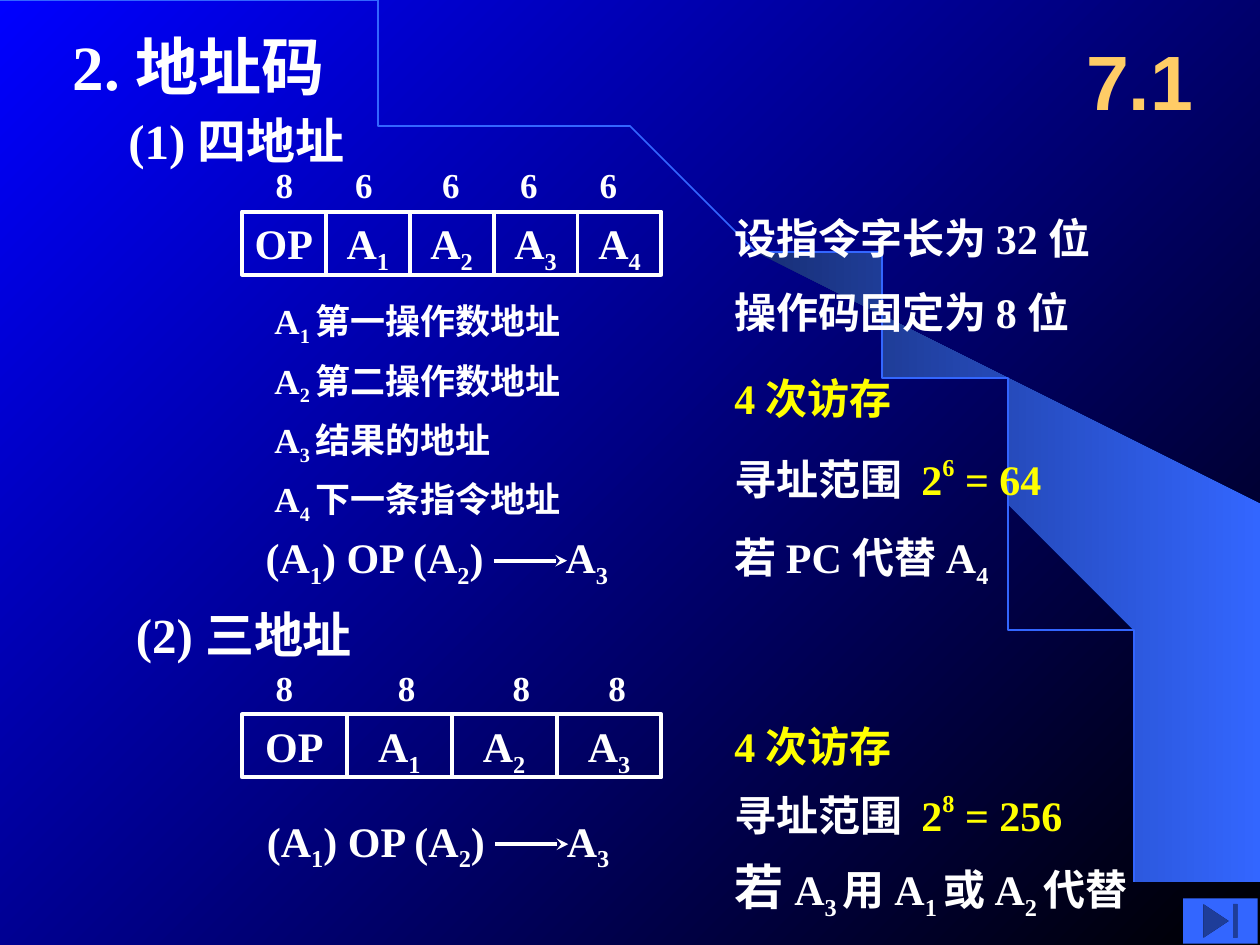
from typing import NamedTuple, Sequence

from lxml import etree
from pptx import Presentation
from pptx.dml.color import RGBColor
from pptx.enum.shapes import MSO_CONNECTOR, MSO_SHAPE
from pptx.enum.text import MSO_ANCHOR, PP_ALIGN
from pptx.oxml.ns import qn
from pptx.util import Inches, Pt

WHITE, YELLOW, ORANGE = "FFFFFF", "FFFF00", "FFCC66"
BLUE, NAVY, DEEP_BLUE, BLACK = "3366FF", "182F76", "0000FF", "000000"
SUB, SUPER = -25, 45
LEFT_NOTE, RIGHT_NOTE = 2.08, 5.73


class Run(NamedTuple):
    text: str
    base: int = 0
    color: str = WHITE
    size: float | None = None
    font: str = "Times New Roman"


class Format(NamedTuple):
    """An instruction format: field names with their widths in bits."""
    top: float
    fields: Sequence[str]
    bits: Sequence[str]
    bit_tabs: Sequence[float]


def rgb(color: str) -> RGBColor:
    return RGBColor.from_string(color)


def set_gradient(fill, start: str, end: str, angle: float) -> None:
    fill.gradient()
    fill.gradient_angle = angle
    for stop, color in zip(fill.gradient_stops, (start, end)):
        stop.color.rgb = rgb(color)


def add_runs(paragraph, runs: Sequence[Run], size: float) -> None:
    for part in runs:
        run = paragraph.add_run()
        run.text = part.text
        run.font.size = Pt(part.size or size)
        run.font.name = part.font
        run.font.bold = True
        run.font.color.rgb = rgb(part.color)
        if part.base:
            run._r.get_or_add_rPr().set("baseline", str(part.base * 1000))


def add_text(slide, left: float, top: float, width: float, height: float,
             runs: Sequence[Run], size: float = 24, tabs: Sequence[float] = ()):
    box = slide.shapes.add_textbox(Inches(left), Inches(top), Inches(width), Inches(height))
    box.text_frame.word_wrap = True
    paragraph = box.text_frame.paragraphs[0]
    if tabs:
        tab_list = etree.SubElement(paragraph._p.get_or_add_pPr(), qn("a:tabLst"))
        for position in tabs:
            etree.SubElement(tab_list, qn("a:tab"), pos=str(Inches(position)), algn="l")
    add_runs(paragraph, runs, size)
    return box


def address(label: str) -> list[Run]:
    """Split a label such as A1 into a letter and its subscript."""
    return [Run(label[0]), Run(label[1:], SUB)]


def add_outline(slide, points: Sequence[tuple[float, float]], close: bool):
    builder = slide.shapes.build_freeform(*points[0], scale=float(Inches(1)))
    builder.add_line_segments(points[1:], close=close)
    shape = builder.convert_to_shape()
    shape.shadow.inherit = False
    return shape


def add_backdrop(slide) -> None:
    set_gradient(slide.background.fill, DEEP_BLUE, BLACK, 315)
    beam = add_outline(slide, [
        (9.2, 7.48), (9.99, 7.49), (9.99, 4.23), (5.89, 1.73), (6.24, 1.99), (6.53, 2.22),
        (6.85, 2.5), (7.16, 2.8), (7.62, 3.3), (8.03, 3.84), (8.32, 4.31), (8.58, 4.79),
        (8.78, 5.28), (8.93, 5.72), (9.03, 6.09), (9.13, 6.56), (9.17, 6.96)], close=True)
    set_gradient(beam.fill, NAVY, BLUE, 0)
    beam.line.fill.background()

    steps = 60
    curve = []
    for step in range(steps + 1):
        t = step / steps
        u = 1 - t
        curve.append((3 * u * u * t * 5.08 + 3 * u * t * t * 9.2 + t ** 3 * 9.2,
                      3 * u * t * t * 3.35 + t ** 3 * 7.49))
    arc = add_outline(slide, curve, close=False)
    arc.fill.background()
    arc.line.color.rgb = rgb(BLUE)
    arc.line.width = Pt(1)


def add_format(slide, layout: Format) -> None:
    left, total = 1.92, 3.33
    add_text(slide, 2.09, layout.top - 0.43, 3.2, 0.44,
             [Run("\t".join(layout.bits))], 20, layout.bit_tabs)
    width = total / len(layout.fields)
    for index, field in enumerate(layout.fields):
        cell = slide.shapes.add_shape(MSO_SHAPE.RECTANGLE, Inches(left + index * width),
                                      Inches(layout.top), Inches(width), Inches(0.5))
        cell.shadow.inherit = False
        cell.fill.background()
        cell.line.color.rgb = rgb(WHITE)
        cell.line.width = Pt(2.25)
        frame = cell.text_frame
        frame.margin_left = frame.margin_right = 0
        frame.vertical_anchor = MSO_ANCHOR.TOP
        paragraph = frame.paragraphs[0]
        paragraph.alignment = PP_ALIGN.CENTER
        add_runs(paragraph, [Run(field)] if field == "OP" else address(field), 24)


def add_operation(slide, left: float, top: float) -> None:
    """Draw (A1) OP (A2) -> A3."""
    runs = [Run("(A"), Run("1", SUB), Run(") OP (A"), Run("2", SUB), Run(")\tA"), Run("3", SUB)]
    add_text(slide, left, top, 3.05, 0.56, runs, tabs=[2.38])
    y = Inches(top + 0.28)
    arrow = slide.shapes.add_connector(MSO_CONNECTOR.STRAIGHT, Inches(left + 1.91), y,
                                       Inches(left + 2.49), y)
    arrow.line.color.rgb = rgb(WHITE)
    arrow.line.width = Pt(2.25)
    etree.SubElement(arrow.line._get_or_add_ln(), qn("a:tailEnd"), type="stealth")
    etree.SubElement(arrow._element.spPr, qn("a:effectLst"))


def add_access_notes(slide, count_top: float, range_top: float, power: str, size: str) -> None:
    add_text(slide, RIGHT_NOTE, count_top, 2.6, 0.5, [Run("4 次访存", color=YELLOW)])
    add_text(slide, RIGHT_NOTE, range_top, 3.5, 0.51, [
        Run("寻址范围  "), Run("2", color=YELLOW), Run(power, SUPER, YELLOW),
        Run(f" = {size}", color=YELLOW)])


def add_next_button(slide) -> None:
    button = slide.shapes.add_shape(MSO_SHAPE.ACTION_BUTTON_END, Inches(9.39), Inches(7.13),
                                    Inches(0.59), Inches(0.36))
    button.shadow.inherit = False
    button.fill.solid()
    button.fill.fore_color.rgb = rgb(BLUE)
    button.line.fill.background()


def main() -> None:
    prs = Presentation()
    prs.slide_width, prs.slide_height = Inches(10), Inches(7.5)
    slide = prs.slides.add_slide(prs.slide_layouts[6])
    add_backdrop(slide)

    add_text(slide, 0.48, 0.17, 3.02, 0.7, [Run("2. 地址码")], 36)
    add_text(slide, 0.92, 0.83, 5.25, 0.57, [Run("(1) 四地址")], 28)
    add_text(slide, 0.98, 4.75, 5.52, 0.57, [Run("(2) 三地址")], 28)
    section = add_text(slide, 8.42, 0.17, 1.25, 0.92,
                       [Run("7.1", color=ORANGE, font="Arial")], 44)
    section.text_frame.vertical_anchor = MSO_ANCHOR.MIDDLE
    section.text_frame.paragraphs[0].alignment = PP_ALIGN.CENTER

    add_format(slide, Format(1.68, ("OP", "A1", "A2", "A3", "A4"), "86666",
                             (0.63, 1.32, 1.94, 2.57)))
    add_format(slide, Format(5.67, ("OP", "A1", "A2", "A3"), "8888", (0.97, 1.88, 2.64)))

    meanings = ("第一操作数地址", "第二操作数地址", "结果的地址", "下一条指令地址")
    for index, meaning in enumerate(meanings):
        add_text(slide, LEFT_NOTE, 2.33 + index * 0.47, 3.17, 0.48,
                 [*address(f"A{index + 1} "), Run(meaning)], 20)
    add_operation(slide, 2.01, 4.17)
    add_operation(slide, 2.02, 6.42)

    for top, assumption in ((1.68, "设指令字长为 32 位"), (2.27, "操作码固定为 8 位")):
        box = add_text(slide, RIGHT_NOTE, top, 3.69, 0.46, [Run(assumption)])
        box.text_frame.paragraphs[0].line_spacing = 0.9
    add_access_notes(slide, 2.91, 3.54, "6", "64")
    add_text(slide, RIGHT_NOTE, 4.17, 3.02, 0.56, [Run("若 PC 代替 A"), Run("4", SUB)])
    add_access_notes(slide, 5.67, 6.21, "8", "256")
    add_text(slide, RIGHT_NOTE, 6.75, 3.83, 0.61, [
        Run("若 ", size=28), *address("A3 "), Run("用 "), *address("A1 "),
        Run("或 "), *address("A2 "), Run("代替")])
    add_next_button(slide)
    prs.save("out.pptx")


if __name__ == "__main__":
    main()
